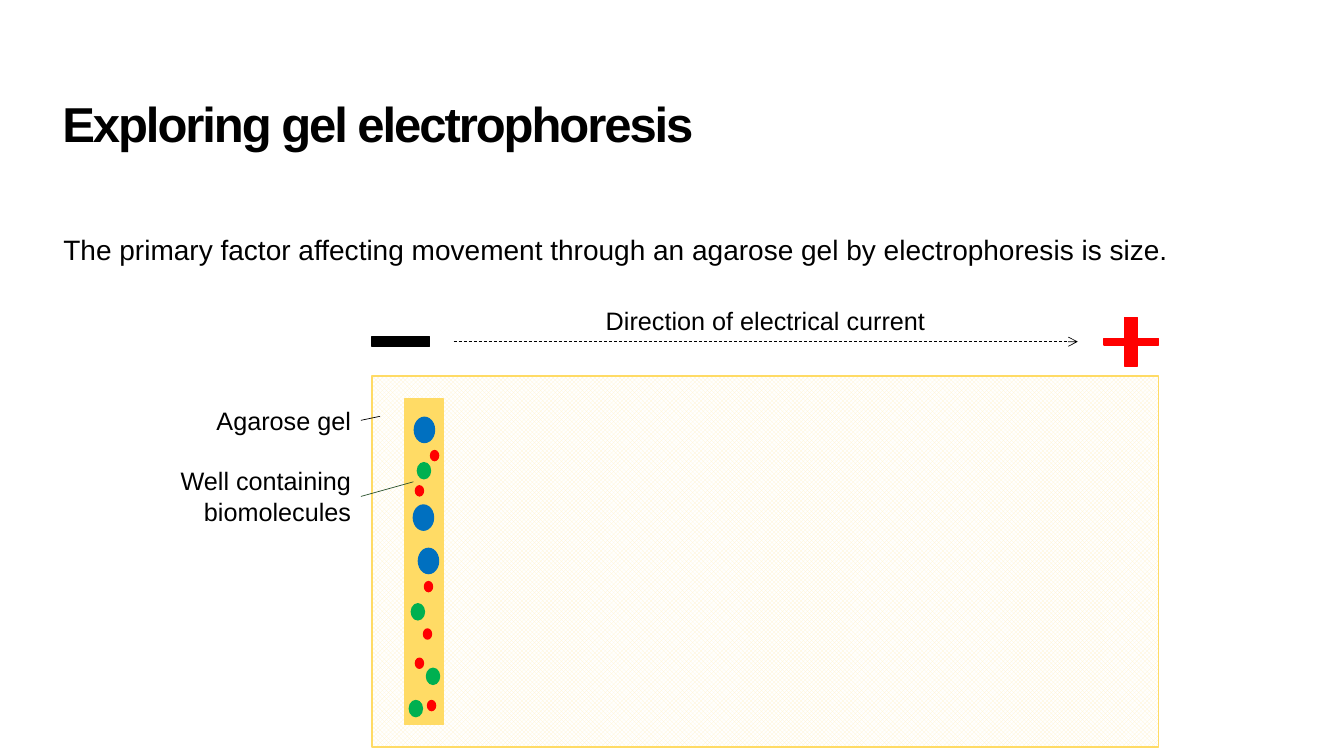
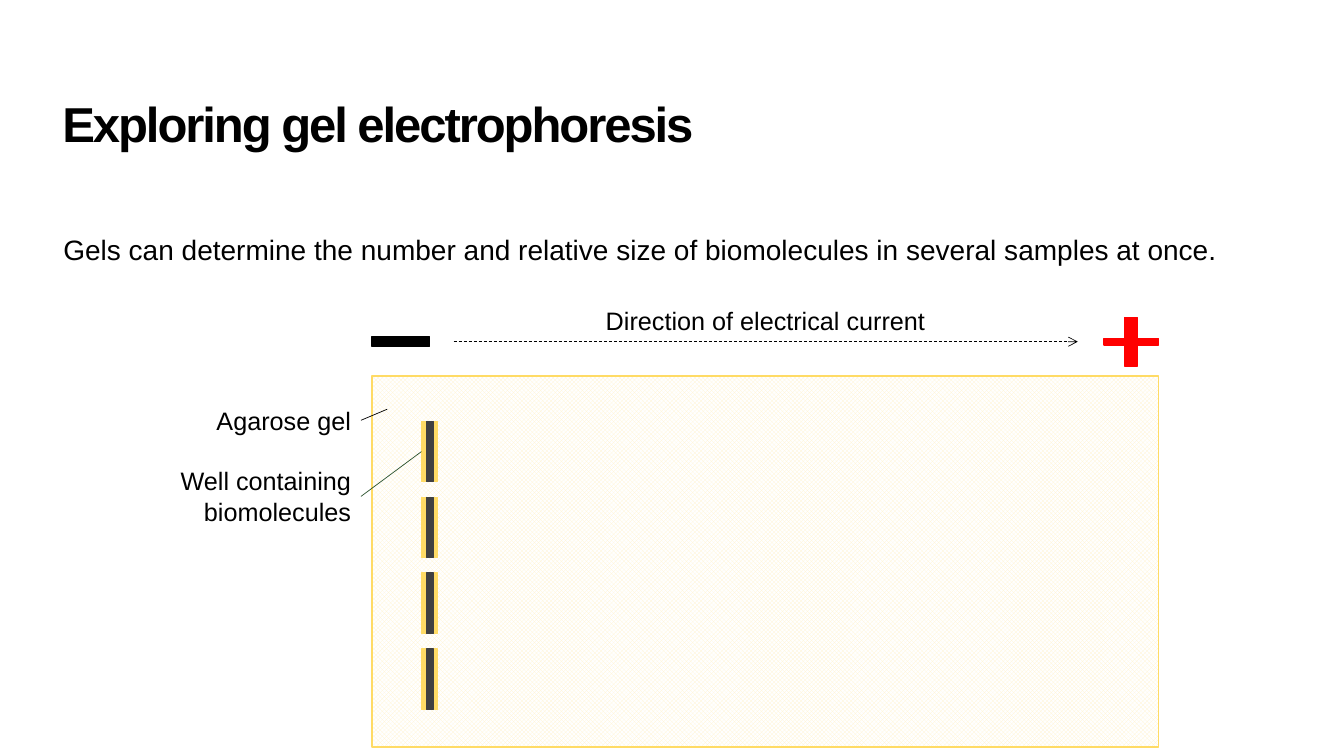
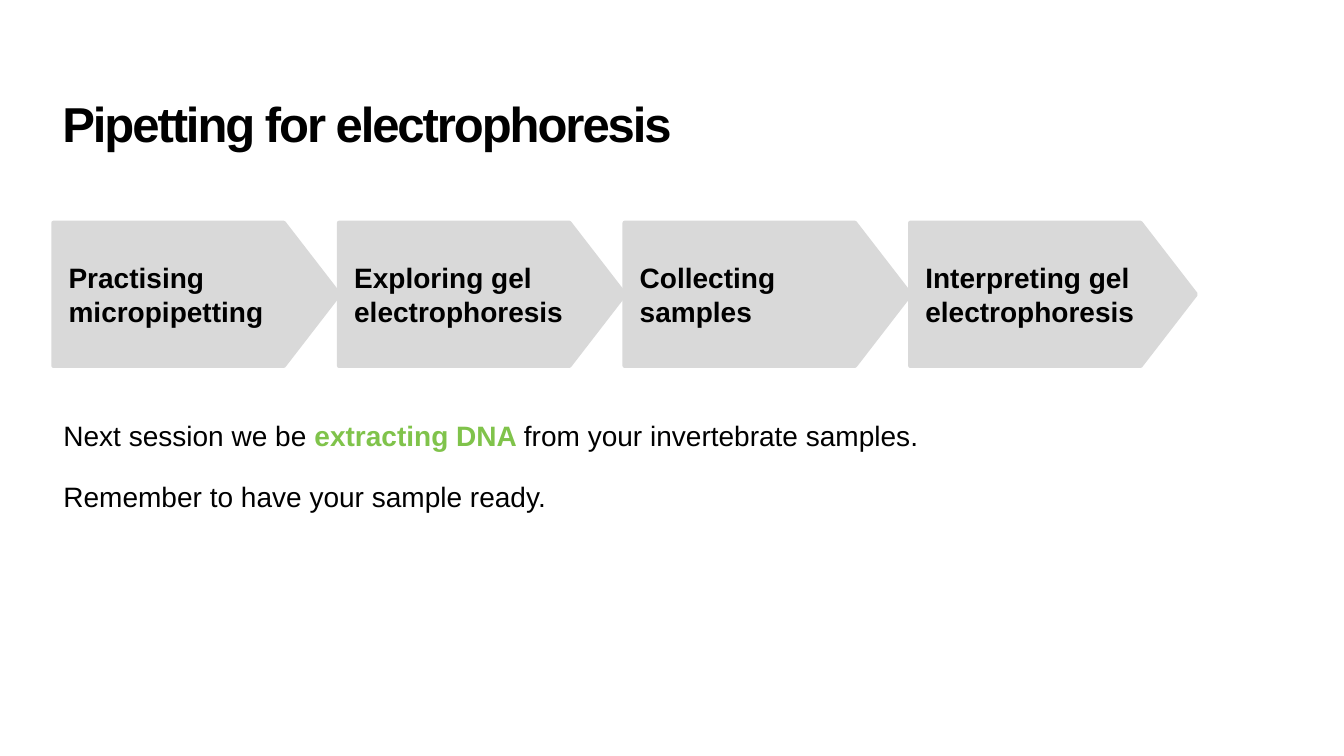
import pptx
import pptx.util
import pptx.dml.color
import pptx.enum.dml
import pptx.enum.shapes
import pptx.enum.text
import pptx.oxml.ns
from lxml import etree

Inches = pptx.util.Inches
Pt = pptx.util.Pt
RGBColor = pptx.dml.color.RGBColor
SHAPE = pptx.enum.shapes.MSO_SHAPE
ALIGN = pptx.enum.text.PP_ALIGN
ANCHOR = pptx.enum.text.MSO_ANCHOR
qn = pptx.oxml.ns.qn

# Shared style
FONT = "Arial"
BLACK = RGBColor(0x00, 0x00, 0x00)
WHITE = RGBColor(0xFF, 0xFF, 0xFF)
RED = RGBColor(0xFF, 0x00, 0x00)
BLUE = RGBColor(0x00, 0x70, 0xC0)
GREEN = RGBColor(0x00, 0xB0, 0x50)
LIGHT_GREEN = RGBColor(0x80, 0xC3, 0x4B)
DARK_GREEN = RGBColor(0x2A, 0x51, 0x2C)
YELLOW = RGBColor(0xFF, 0xDB, 0x65)
PALE_YELLOW = RGBColor(0xFF, 0xF3, 0xCC)
DARK_GREY = RGBColor(0x40, 0x40, 0x40)
LIGHT_GREY = RGBColor(0xD9, 0xD9, 0xD9)

GEL_BOX = (3.69, 3.73, 7.8, 3.68)

# Molecules: colour, width, height, and places measured from the gel's corner
MOLECULES = [
    (BLUE, 0.2, 0.25, [(0.42, 0.41), (0.41, 1.28), (0.46, 1.71)]),
    (GREEN, 0.13, 0.16, [(0.45, 0.86), (0.37, 3.22), (0.39, 2.26), (0.54, 2.9)]),
    (RED, 0.08, 0.1, [(0.43, 1.09), (0.58, 0.74), (0.52, 2.04),
                      (0.51, 2.51), (0.43, 2.8), (0.55, 3.22)]),
]


def style_font(font, size, color=BLACK, bold=False):
    font.name = FONT
    font.size = Pt(size)
    font.color.rgb = color
    font.bold = bold


def add_text(slide, box, paragraphs, size, bold=False, align=ALIGN.LEFT,
             wrap=True, insets=(0.1, 0.05, 0.1, 0.05)):
    """Place a text box; each paragraph is a list of (text, color, bold) runs or a string."""
    shape = slide.shapes.add_textbox(*map(Inches, box))
    frame = shape.text_frame
    frame.word_wrap = wrap
    (frame.margin_left, frame.margin_top,
     frame.margin_right, frame.margin_bottom) = map(Inches, insets)
    for index, content in enumerate(paragraphs):
        paragraph = frame.paragraphs[0] if index == 0 else frame.add_paragraph()
        paragraph.alignment = align
        if index:
            paragraph.space_before = Pt(20)
        runs = [(content, BLACK, bold)] if isinstance(content, str) else content
        for text, color, run_bold in runs:
            run = paragraph.add_run()
            run.text = text
            style_font(run.font, size, color, run_bold)
    return shape


def add_block(slide, preset, box, color, line_width=1):
    """Place a preset shape whose fill and outline share one colour."""
    shape = slide.shapes.add_shape(preset, *map(Inches, box))
    shape.shadow.inherit = False
    shape.fill.solid()
    shape.fill.fore_color.rgb = color
    shape.line.color.rgb = color
    shape.line.width = Pt(line_width)
    return shape


def add_line(slide, start, end, color=BLACK):
    connector = slide.shapes.add_connector(
        pptx.enum.shapes.MSO_CONNECTOR.STRAIGHT, *map(Inches, start + end))
    connector.line.color.rgb = color
    connector.line.width = Pt(0.5)
    etree.SubElement(connector._element.spPr, qn("a:effectLst"))
    return connector


def add_title(slide, text):
    shape = add_text(slide, (0.52, 1.04, 12.29, 1.04), [text], 35, bold=True,
                     insets=(0.1, 0, 0.1, 0.05))
    paragraph = shape.text_frame.paragraphs[0]
    paragraph.line_spacing = 0.8
    paragraph.runs[0].font._element.set("spc", "-150")


def add_body(slide, box, paragraphs):
    add_text(slide, box, paragraphs, 20, insets=(0.1, 0.1, 0.1, 0.1))


def add_gel(slide, box):
    left, top, width, height = box
    gel = add_block(slide, SHAPE.RECTANGLE, box, YELLOW)
    gel.fill.patterned()
    gel.fill.pattern = pptx.enum.dml.MSO_PATTERN.TRELLIS
    gel.fill.fore_color.rgb = PALE_YELLOW
    gel.fill.back_color.rgb = WHITE


def add_current(slide, box):
    """Electrodes, arrow and caption above the gel."""
    left, top, width, height = box
    axis = top - 0.34
    plus = add_block(slide, SHAPE.CROSS,
                     (left + width - 0.54, axis - 0.24, 0.54, 0.48), RED)
    plus.adjustments[0] = 0.429
    add_block(slide, SHAPE.RECTANGLE, (left, axis - 0.05, 0.57, 0.1), BLACK)
    arrow = add_line(slide, (left + 0.81, axis), (left + width - 0.8, axis))
    arrow.line.dash_style = pptx.enum.dml.MSO_LINE.DASH
    etree.SubElement(arrow.line._get_or_add_ln(), qn("a:tailEnd"), type="arrow")
    add_text(slide, (left + 2.22, top - 0.75, 3.4, 0.4),
             ["Direction of electrical current"], 18, wrap=False)


def add_gel_labels(slide, box, gel_point, well_point, well=None):
    """Labels left of the gel, with leaders to points measured from its corner."""
    left, top, width, height = box
    labels = [
        ("Agarose gel", (left - 1.66, top + 0.24, 1.55, 0.4), False, gel_point, BLACK),
        ("Well containing biomolecules", (left - 2.26, top + 0.84, 2.15, 0.71), True,
         well_point, DARK_GREEN),
    ]
    for text, label_box, wrap, (x, y), color in labels:
        label = add_text(slide, label_box, [text], 18, align=ALIGN.RIGHT, wrap=wrap)
        leader = add_line(slide, (left, top), (left + x, top + y), color)
        leader.begin_connect(label, 3)
    if well is not None:
        leader.end_connect(well, 1)


def add_mixed_well(slide, box):
    """One large well holding molecules of three sizes."""
    left, top, width, height = box
    add_block(slide, SHAPE.RECTANGLE, (left + 0.32, top + 0.23, 0.39, 3.23), YELLOW)
    for color, molecule_width, molecule_height, places in MOLECULES:
        for x, y in places:
            add_block(slide, SHAPE.OVAL,
                      (left + x, top + y, molecule_width, molecule_height), color)


def add_sample_wells(slide, box, count=4):
    """A column of equal wells, each with a dark sample; returns the wells."""
    left, top, width, height = box
    pitch = 2.26 / (count - 1)
    wells = []
    for index in range(count):
        well_top = top + 0.45 + index * pitch
        wells.append(add_block(slide, SHAPE.RECTANGLE,
                               (left + 0.49, well_top, 0.16, 0.6), YELLOW))
        add_block(slide, SHAPE.RECTANGLE,
                  (left + 0.54, well_top, 0.07, 0.6), DARK_GREY)
    return wells


def add_process(slide, box, steps):
    """A row of touching arrow blocks that fills the box."""
    left, top, width, height = box
    step_width = width / len(steps)
    for index, text in enumerate(steps):
        step = add_block(slide, SHAPE.PENTAGON,
                         (left + index * step_width, top, step_width, height),
                         LIGHT_GREY, 3)
        step.adjustments[0] = 0.386
        frame = step.text_frame
        frame.word_wrap = True
        frame.vertical_anchor = ANCHOR.MIDDLE
        frame.margin_left = Inches(0.15)
        frame.text = text
        paragraph = frame.paragraphs[0]
        paragraph.alignment = ALIGN.LEFT
        style_font(paragraph.runs[0].font, 20, bold=True)


def add_gel_slide(slide, statement):
    add_title(slide, "Exploring gel electrophoresis")
    add_body(slide, (0.53, 2.21, 12.8, 0.57), [statement])
    add_gel(slide, GEL_BOX)
    add_current(slide, GEL_BOX)


def main():
    presentation = pptx.Presentation()
    presentation.slide_width = Inches(13.33)
    presentation.slide_height = Inches(7.5)
    blank = presentation.slide_layouts[6]

    # Movement depends on size
    slide = presentation.slides.add_slide(blank)
    add_gel_slide(slide, "The primary factor affecting movement through an agarose gel "
                         "by electrophoresis is size.")
    add_mixed_well(slide, GEL_BOX)
    add_gel_labels(slide, GEL_BOX, (0.08, 0.4), (0.41, 1.05))

    # Several samples at once
    slide = presentation.slides.add_slide(blank)
    add_gel_slide(slide, "Gels can determine the number and relative size of biomolecules "
                         "in several samples at once.")
    wells = add_sample_wells(slide, GEL_BOX)
    add_gel_labels(slide, GEL_BOX, (0.15, 0.33), (0.49, 0.75), wells[0])

    # Process and next session
    slide = presentation.slides.add_slide(blank)
    add_title(slide, "Pipetting for electrophoresis")
    add_process(slide, (0.53, 2.21, 11.33, 1.42),
                ["Practising micropipetting", "Exploring gel electrophoresis",
                 "Collecting samples", "Interpreting gel electrophoresis"])
    add_body(slide, (0.53, 4.05, 12.51, 2.81), [
        [("Next session we be ", BLACK, False),
         ("extracting DNA ", LIGHT_GREEN, True),
         ("from your invertebrate samples.", BLACK, False)],
        "Remember to have your sample ready.",
    ])

    presentation.save("out.pptx")


if __name__ == "__main__":
    main()
